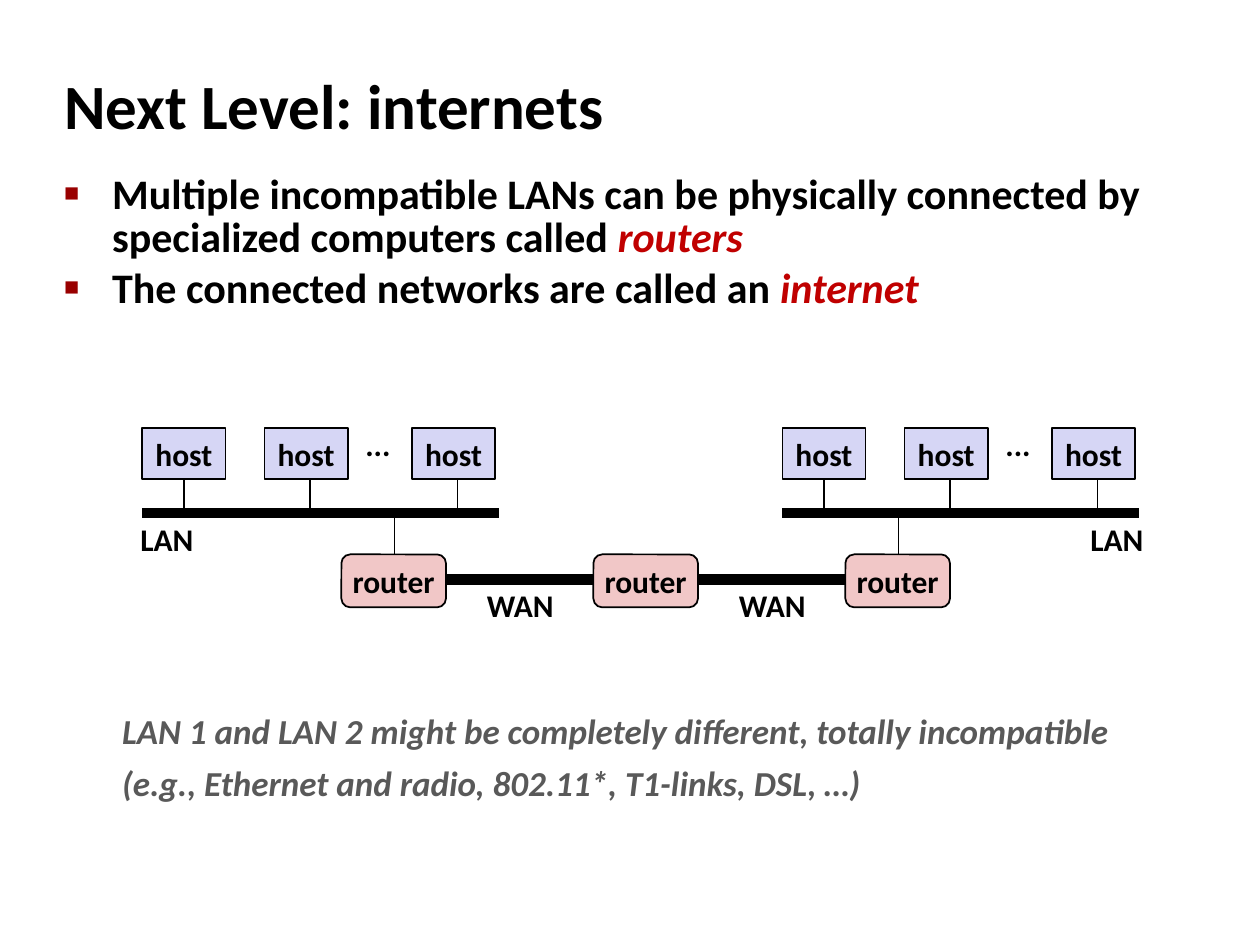
from pptx import Presentation
from pptx.util import Inches, Pt
from pptx.dml.color import RGBColor as Rgb
from pptx.enum.shapes import MSO_SHAPE as Kind, MSO_CONNECTOR as Link
from pptx.enum.text import PP_ALIGN as Align, MSO_ANCHOR as Anchor, MSO_AUTO_SIZE as Fit
from pptx.oxml.ns import qn
from lxml.etree import SubElement as Sub

HUES = {"ink": "000000", "host": "D6D6F5", "router": "F1C7C7",
        "mark": "990000", "key": "C00000", "note": "595959"}
COLS, ROWS = 10, 7.5


class Deck:
    font = "Calibri"

    def __init__(self):
        self.prs = Presentation()
        self.prs.slide_width, self.prs.slide_height = Inches(10), Inches(7.5)
        self.slide = self.prs.slides.add_slide(self.prs.slide_layouts[1])
        self.shapes = self.slide.shapes

    def x(self, cols):
        return round(self.prs.slide_width * cols / COLS)

    def y(self, rows):
        return round(self.prs.slide_height * rows / ROWS)

    def area(self, left, top, wide, high):
        return self.x(left), self.y(top), self.x(wide), self.y(high)

    def hue(self, name):
        return Rgb.from_string(HUES[name])

    def style(self, run, size, hue="ink", slant=False):
        font = run.font
        font.name, font.size, font.bold, font.italic = self.font, Pt(size), True, slant
        font.color.rgb = self.hue(hue)

    def place(self, item, area, anchor):
        item.left, item.top, item.width, item.height = self.area(*area)
        frame = item.text_frame
        frame.auto_size, frame.vertical_anchor = Fit.NONE, anchor
        return frame

    def title(self, text, area):
        frame = self.place(self.shapes.title, area, Anchor.MIDDLE)
        frame.text = text
        para = frame.paragraphs[0]
        para.alignment = Align.LEFT
        self.style(para.runs[0], 36)

    def list(self, items, area):
        frame = self.place(self.slide.placeholders[1], area, Anchor.TOP)
        frame.text = "\n".join(lead for lead, key in items)
        for para, (lead, key) in zip(frame.paragraphs, items):
            para.line_spacing, para.space_before = 0.85, Pt(4.8)
            self.style(para.runs[0], 24)
            run = para.add_run()
            run.text = key
            self.style(run, 24, "key", True)
            self.bullet(para)

    def bullet(self, para):
        props = para._p.get_or_add_pPr()
        props.set("marL", str(Inches(0.38)))
        props.set("indent", str(-Inches(0.38)))
        Sub(Sub(props, qn("a:buClr")), qn("a:srgbClr")).set("val", HUES["mark"])
        Sub(props, qn("a:buSzPct")).set("val", "60000")
        Sub(props, qn("a:buFont")).set("typeface", "Arial")
        Sub(props, qn("a:buChar")).set("char", "■")

    def center(self, item, text):
        frame = item.text_frame
        frame.text, frame.word_wrap = text, False
        frame.vertical_anchor = Anchor.MIDDLE
        para = frame.paragraphs[0]
        para.alignment = Align.CENTER
        self.style(para.runs[0], 18)

    def label(self, text, area):
        self.center(self.shapes.add_textbox(*self.area(*area)), text)

    def node(self, text, kind, area):
        item = self.shapes.add_shape(kind, *self.area(*area))
        item.shadow.inherit = False
        item.fill.solid()
        item.fill.fore_color.rgb = self.hue(text)
        item.line.color.rgb, item.line.width = self.hue("ink"), Pt(1)
        self.center(item, text)

    def line(self, left, top, right, low, width=1):
        item = self.shapes.add_connector(
            Link.STRAIGHT, self.x(left), self.y(top), self.x(right), self.y(low))
        item.line.color.rgb, item.line.width = self.hue("ink"), Pt(width)
        Sub(item._element.spPr, qn("a:effectLst"))

    def note(self, lines, area):
        frame = self.shapes.add_textbox(*self.area(*area)).text_frame
        frame.word_wrap = True
        frame.text = "\n".join(lines)
        for rank, para in enumerate(frame.paragraphs):
            para.space_before = Pt(6 * rank)
            self.style(para.runs[0], 20, "note", True)

    def lan(self, left):
        self.line(left, 4.07, left + 2.83, 4.07, 6)
        for host, drop in ((0, 0.33), (0.97, 1.33), (2.14, 2.5)):
            self.line(left + drop, 3.74, left + drop, 4.07)
            self.node("host", Kind.RECTANGLE, (left + host, 3.4, 0.66, 0.4))
        self.label("...", (left + 1.67, 3.32, 0.4, 0.4))


deck = Deck()
deck.title("Next Level: internets", (0.41, 0.51, 7.05, 0.63))
deck.list([
    ("Multiple incompatible LANs can be physically connected by "
     "specialized computers called ", "routers"),
    ("The connected networks are called an ", "internet"),
], (0.41, 1.34, 9.09, 1.33))

for left in (1.13, 6.21):
    deck.lan(left)
for left in (3.13, 7.13):
    deck.line(left, 4.07, left, 4.4)
for left in (3.46, 5.46):
    deck.line(left, 4.6, left + 1.34, 4.6, 6)
    deck.label("WAN", (left + 0.3, 4.6, 0.74, 0.4))
for rank in range(3):
    deck.node("router", Kind.ROUNDED_RECTANGLE, (2.71 + 2 * rank, 4.4, 0.83, 0.42))
for left in (1.01, 8.55):
    deck.label("LAN", (left, 4.08, 0.63, 0.4))

deck.note(["LAN 1 and LAN 2 might be completely different, totally incompatible",
           "(e.g., Ethernet and radio, 802.11*, T1-links, DSL, …)"],
          (0.87, 5.58, 8.88, 0.86))
deck.prs.save("out.pptx")
